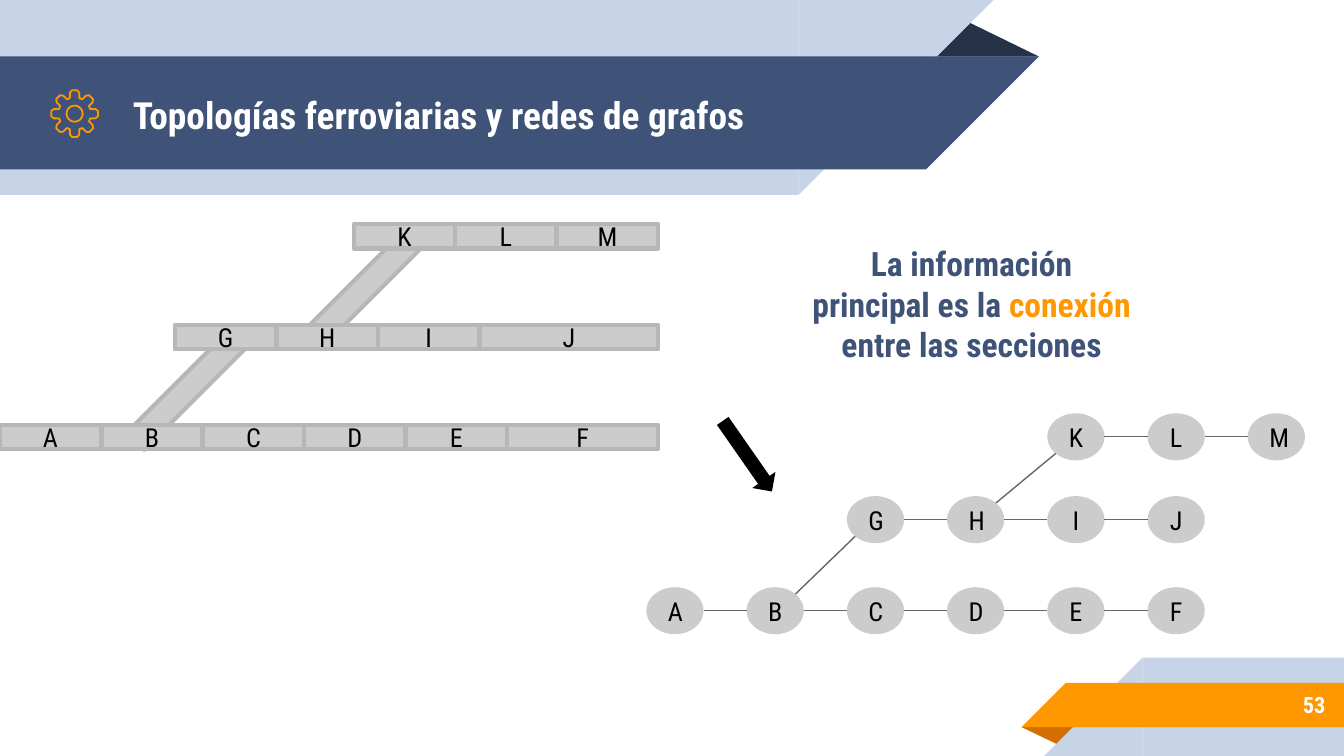
"""Build a slide that turns a railway topology into a graph of connected sections."""
from dataclasses import dataclass
from math import cos, radians, sin
from typing import NamedTuple

from pptx import Presentation
from pptx.dml.color import RGBColor
from pptx.enum.shapes import MSO_CONNECTOR, MSO_SHAPE
from pptx.enum.text import MSO_ANCHOR, PP_ALIGN
from pptx.oxml import parse_xml
from pptx.oxml.ns import nsdecls
from pptx.util import Pt

FONT = "Roboto Condensed"
WHITE, BLACK, NAVY, PALE = "FFFFFF", "000000", "3F5378", "C7D3E6"
ORANGE, GREY, TRACK_EDGE, EDGE = "FF9800", "CCCCCC", "B7B7B7", "666666"
INSET = 7.2
CELL_STEP, CELL_WIDTH, CELL_HEIGHT, TRACK_END = 54.36, 54.2, 13.1, 352.6
NODE_LEFT, NODE_STEP, NODE_WIDTH, NODE_HEIGHT = 346.3, 53.7, 30.6, 25.2


class Box(NamedTuple):
    left: float
    top: float
    width: float
    height: float


class Span(NamedTuple):
    text: str
    color: str


class Point(NamedTuple):
    x: float
    y: float


@dataclass
class Block:
    kind: MSO_SHAPE
    box: Box
    fill: str
    line: str | None = None
    rotation: float = 0
    flipped: bool = False
    adjustment: float | None = None


@dataclass
class Row:
    sections: str
    track_left: float
    track_top: float
    first_column: int
    node_top: float


RECT, CORNER, PEAK = MSO_SHAPE.RECTANGLE, MSO_SHAPE.RIGHT_TRIANGLE, MSO_SHAPE.ISOSCELES_TRIANGLE
BANNERS = [
    Block(PEAK, Box(495.4, 10.1, 61.2, 20.2), "263248", adjustment=0.324),
    Block(RECT, Box(0, 0, 427.7, 104.4), PALE, rotation=180, flipped=True),
    Block(CORNER, Box(427.7, 0, 104.4, 104.4), PALE, rotation=180, flipped=True),
    Block(RECT, Box(0, 30.2, 496.1, 60.5), NAVY, rotation=180, flipped=True),
    Block(CORNER, Box(496.1, 30.2, 60.5, 60.5), NAVY, rotation=180, flipped=True),
    Block(PEAK, Box(547.2, 389.5, 31, 10.1), "D26F00", rotation=180, adjustment=0.324),
    Block(RECT, Box(612, 352.4, 108, 52.6), PALE, flipped=True),
    Block(CORNER, Box(559.4, 352.4, 52.6, 52.6), PALE, flipped=True),
    Block(RECT, Box(571, 365.8, 149, 23.8), ORANGE, flipped=True),
    Block(CORNER, Box(547.2, 365.8, 23.8, 23.8), ORANGE, flipped=True),
]
RAMPS = [
    Block(RECT, Box(left, top, 77.8, 13.1), GREY, TRACK_EDGE, rotation=315)
    for left, top in ((155.5, 148.4), (61.2, 202.3))
]
ROWS = [
    Row("ABCDEF", 0, 227.5, 0, 314.6),
    Row("GHIJ", 93.8, 174.1, 2, 265.8),
    Row("KLM", 189.6, 120.1, 4, 221.4),
]
BRANCHES = ["BG", "HK"]


def paint(color: str) -> RGBColor:
    """Turn a hex string into a colour."""
    return RGBColor.from_string(color)


def write(shape, spans: list[Span], size: float, align: PP_ALIGN, bold: bool = False) -> None:
    """Fill a shape with one centred-anchor paragraph."""
    frame = shape.text_frame
    frame.word_wrap = True
    frame.vertical_anchor = MSO_ANCHOR.MIDDLE
    frame.margin_left = frame.margin_right = frame.margin_top = frame.margin_bottom = Pt(INSET)
    para = frame.paragraphs[0]
    para.alignment = align
    for span in spans:
        run = para.add_run()
        run.text = span.text
        run.font.name, run.font.size, run.font.bold = FONT, Pt(size), bold
        run.font.color.rgb = paint(span.color)


def add_block(page, block: Block):
    """Draw one preset shape."""
    shape = page.shapes.add_shape(block.kind, *map(Pt, block.box))
    shape.shadow.inherit = False
    shape.fill.solid()
    shape.fill.fore_color.rgb = paint(block.fill)
    if block.line:
        shape.line.color.rgb = paint(block.line)
        shape.line.width = Pt(2.25)
    else:
        shape.line.fill.background()
    shape.rotation = block.rotation
    if block.flipped:
        shape.element.spPr.get_or_add_xfrm().set("flipH", "1")
    if block.adjustment is not None:
        shape.adjustments[0] = block.adjustment
    return shape


def add_text(page, box: Box, spans: list[Span], size: float, align: PP_ALIGN) -> None:
    """Draw a bold text box."""
    write(page.shapes.add_textbox(*map(Pt, box)), spans, size, align, bold=True)


def add_label(page, block: Block, letter: str) -> None:
    """Draw a shape holding one section letter."""
    write(add_block(page, block), [Span(letter, BLACK)], 14, PP_ALIGN.CENTER)


def around(center: Point, radius_x: float, radius_y: float, degrees: float) -> Point:
    """Find the point of an ellipse at a clockwise angle from the right."""
    angle = radians(degrees)
    return Point(center.x + radius_x * cos(angle), center.y + radius_y * sin(angle))


def add_gear(page, center: Point) -> None:
    """Draw an eight-toothed gear outline with a round hole."""
    tooth = [(-17, 8.7), (-12.7, 11.4), (-6.5, 12.6), (6.5, 12.6), (12.7, 11.4), (17, 8.7)]
    rim = [around(center, radius, radius, 45 * index + turn) for index in range(8) for turn, radius in tooth]
    hole = [around(center, 4.3, 4.3, 10 * index) for index in range(36)]
    rim, hole = ([(100 * x, 100 * y) for x, y in ring] for ring in (rim, hole))
    builder = page.shapes.build_freeform(*rim[0], scale=Pt(1) / 100)
    builder.add_line_segments(rim[1:], close=True)
    builder.move_to(*hole[0])
    builder.add_line_segments(hole[1:], close=True)
    gear = builder.convert_to_shape()
    gear.shadow.inherit = False
    gear.fill.background()
    gear.line.color.rgb = paint(ORANGE)
    gear.line.width = Pt(0.96)


def add_track(page, row: Row) -> None:
    """Draw a row of track sections whose last one reaches the track end."""
    for index, letter in enumerate(row.sections):
        left = row.track_left + index * CELL_STEP
        is_last = index == len(row.sections) - 1
        width = TRACK_END - left if is_last else CELL_WIDTH
        add_label(page, Block(RECT, Box(left, row.track_top, width, CELL_HEIGHT), GREY, TRACK_EDGE), letter)


def add_nodes(page, row: Row) -> dict[str, Point]:
    """Draw a row of graph nodes and return their centres."""
    centers = {}
    for column, letter in enumerate(row.sections, row.first_column):
        left = NODE_LEFT + column * NODE_STEP
        box = Box(left, row.node_top, NODE_WIDTH, NODE_HEIGHT)
        add_label(page, Block(MSO_SHAPE.OVAL, box, GREY), letter)
        centers[letter] = Point(left + NODE_WIDTH / 2, row.node_top + NODE_HEIGHT / 2)
    return centers


def add_edge(page, start: Point, end: Point, degrees: float) -> None:
    """Join two nodes, leaving the first at the given angle."""
    radii = NODE_WIDTH / 2, NODE_HEIGHT / 2
    ends = around(start, *radii, degrees) + around(end, *radii, degrees + 180)
    edge = page.shapes.add_connector(MSO_CONNECTOR.STRAIGHT, *map(Pt, ends))
    edge.line.color.rgb = paint(EDGE)
    edge.line.width = Pt(0.75)
    edge.element.spPr.append(parse_xml(f"<a:effectLst {nsdecls('a')}/>"))


def main() -> None:
    """Build and save the deck."""
    deck = Presentation()
    deck.slide_width, deck.slide_height = Pt(720), Pt(405)
    page = deck.slides.add_slide(deck.slide_layouts[6])
    for block in BANNERS + RAMPS:
        add_block(page, block)
    title = [Span("Topologías ferroviarias y redes de grafos", WHITE)]
    add_text(page, Box(64.1, 31, 432.7, 60.5), title, 20, PP_ALIGN.LEFT)
    add_text(page, Box(599.8, 365, 117.4, 25.2), [Span("53", WHITE)], 12, PP_ALIGN.RIGHT)
    add_gear(page, Point(40, 60.9))
    add_block(page, Block(MSO_SHAPE.RIGHT_ARROW, Box(377.3, 236.9, 46.1, 15.1), BLACK, rotation=55.1))
    message = [
        Span("La información principal es la ", NAVY),
        Span("conexión", ORANGE),
        Span(" entre las secciones", NAVY),
    ]
    add_text(page, Box(426.2, 132.5, 188.6, 60.5), message, 18, PP_ALIGN.CENTER)
    centers = {}
    for row in ROWS:
        add_track(page, row)
        centers.update(add_nodes(page, row))
    for row in ROWS:
        for start, end in zip(row.sections, row.sections[1:]):
            add_edge(page, centers[start], centers[end], 0)
    for start, end in BRANCHES:
        add_edge(page, centers[start], centers[end], -45)
    deck.save("out.pptx")


if __name__ == "__main__":
    main()
